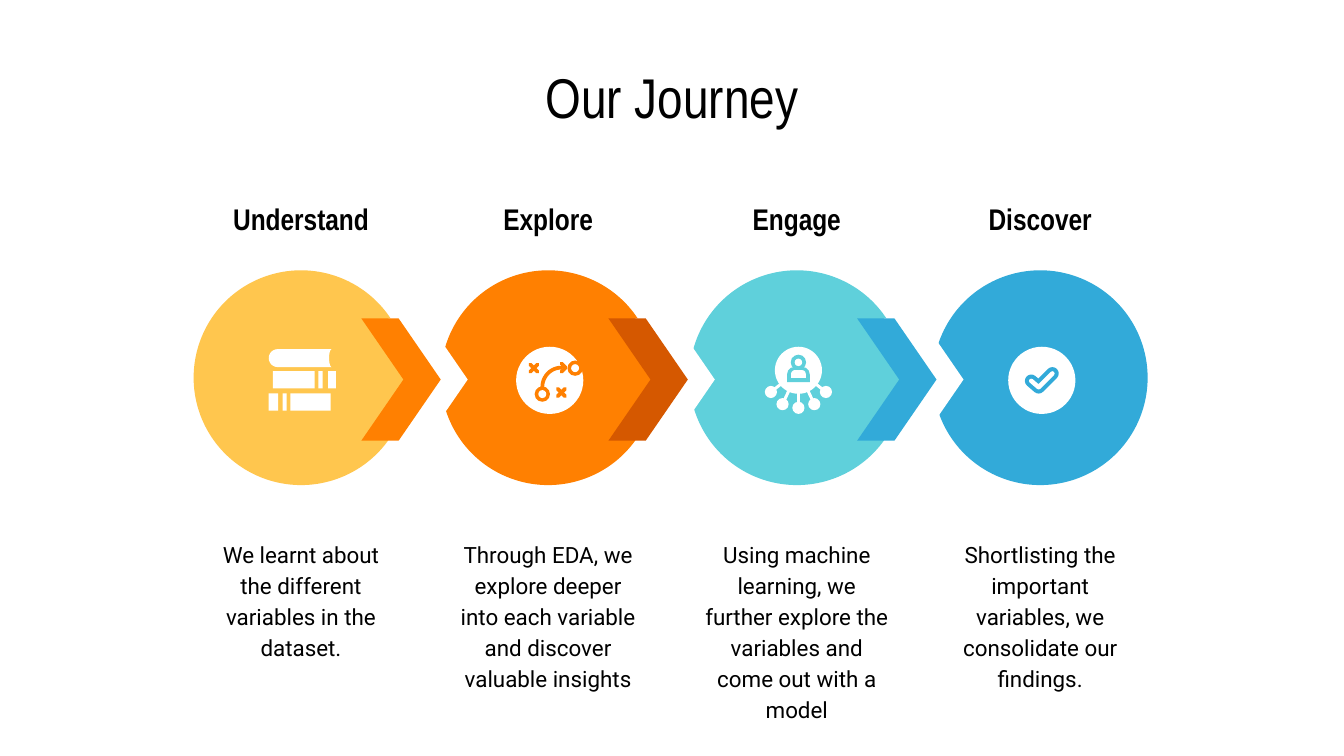
from dataclasses import dataclass
from math import cos, pi, sin
from typing import Callable

from lxml import etree
from pptx import Presentation
from pptx.dml.color import RGBColor
from pptx.enum.shapes import MSO_SHAPE
from pptx.enum.text import MSO_ANCHOR, PP_ALIGN
from pptx.oxml.ns import qn
from pptx.util import Cm, Pt

OVAL, RECTANGLE = MSO_SHAPE.OVAL, MSO_SHAPE.RECTANGLE
CHEVRON, ARCH = MSO_SHAPE.CHEVRON, MSO_SHAPE.ROUND_2_SAME_RECTANGLE
PILL = MSO_SHAPE.ROUNDED_RECTANGLE
CENTER = PP_ALIGN.CENTER
TOP, MIDDLE = MSO_ANCHOR.TOP, MSO_ANCHOR.MIDDLE

COLORS = {
    "yellow": "FFC64E",
    "orange": "FF8001",
    "rust": "D55800",
    "teal": "5FD0DB",
    "blue": "32AAD9",
    "white": "FFFFFF",
    "black": "000000",
}
HEADING_FONT, BODY_FONT = "Arial Narrow", "Roboto"
DISC_SIZE, DISC_TOP = 4.06, 5.11
ICON_SIZE, ICON_MIDDLE = 1.27, 7.19
CHEVRON_WIDTH, CHEVRON_HEIGHT, CHEVRON_TOP = 1.5, 2.31, 6.02
CHEVRON_OFFSET, GAP_OFFSET = 3.17, 3.68

Point = tuple[float, float]


@dataclass(frozen=True)
class Canvas:
    shapes: object
    x: float
    y: float
    color: str


@dataclass(frozen=True)
class Step:
    left: float
    color: str
    next_color: str | None
    heading: str
    body: str
    icon: Callable[[Canvas], None]


def rgb(name: str) -> RGBColor:
    return RGBColor.from_string(COLORS[name])


def add_text(shapes, text: str, left: float, top: float, width: float, height: float, *,
             size: float, font: str, bold: bool = False, anchor=MIDDLE,
             inset: float = 0.25, spacing: float = 1.0) -> None:
    box = shapes.add_textbox(Cm(left), Cm(top), Cm(width), Cm(height))
    frame = box.text_frame
    frame.word_wrap = True
    frame.vertical_anchor = anchor
    frame.margin_left = frame.margin_right = Cm(inset)
    frame.margin_top = frame.margin_bottom = Cm(inset)
    para = frame.paragraphs[0]
    para.alignment = CENTER
    para.line_spacing = spacing
    span = para.add_run()
    span.text = text
    span.font.name = font
    span.font.size = Pt(size)
    span.font.bold = bold
    span.font.color.rgb = rgb("black")


def paint(shape, color: str) -> None:
    shape.shadow.inherit = False
    shape.fill.solid()
    shape.fill.fore_color.rgb = rgb(color)
    shape.line.fill.background()


def add_filled(shapes, kind, left: float, top: float, width: float, height: float,
               color: str, adjust: float | None = None) -> None:
    shape = shapes.add_shape(kind, Cm(left), Cm(top), Cm(width), Cm(height))
    if adjust is not None:
        shape.adjustments[0] = adjust
    paint(shape, color)


def add_mark(canvas: Canvas, kind, x: float, y: float, width: float, height: float,
             color: str, adjust: float | None = None) -> None:
    add_filled(canvas.shapes, kind, canvas.x + x - width / 2, canvas.y + y - height / 2,
               width, height, color, adjust)


def add_outline(canvas: Canvas, points: list[Point], closed: bool):
    places = [(Cm(canvas.x + x), Cm(canvas.y + y)) for x, y in points]
    builder = canvas.shapes.build_freeform(*places[0])
    builder.add_line_segments(places[1:], close=closed)
    return builder.convert_to_shape()


def add_stroke(canvas: Canvas, points: list[Point], color: str, width: float) -> None:
    shape = add_outline(canvas, points, closed=False)
    shape.shadow.inherit = False
    shape.fill.background()
    shape.line.color.rgb = rgb(color)
    shape.line.width = Pt(width)
    line = shape._element.spPr.find(qn("a:ln"))
    line.set("cap", "rnd")
    etree.SubElement(line, qn("a:round"))


def arc(x: float, y: float, radius_x: float, radius_y: float,
        start: float, end: float) -> list[Point]:
    angles = [start + (end - start) * part / 12 for part in range(13)]
    return [(x + radius_x * cos(a), y + radius_y * sin(a)) for a in angles]


def draw_ring(canvas: Canvas, x: float, y: float, outer: float, inner: float) -> None:
    add_mark(canvas, OVAL, x, y, outer, outer, canvas.color)
    add_mark(canvas, OVAL, x, y, inner, inner, "white")


def draw_books(canvas: Canvas) -> None:
    spine = arc(-0.47, -0.42, 0.17, 0.17, pi / 2, 3 * pi / 2)
    pages = arc(0.55, -0.42, 0.05, 0.17, 3 * pi / 2, pi / 2)
    paint(add_outline(canvas, spine + pages, closed=True), "white")
    rows = {-0.01: [(-0.56, 0.79), (0.3, 0.08), (0.48, 0.15)],
            0.41: [(-0.64, 0.18), (-0.38, 0.08), (-0.23, 0.76)]}
    for y, parts in rows.items():
        for left, width in parts:
            add_mark(canvas, RECTANGLE, left + width / 2, y, width, 0.33, "white")


def draw_strategy(canvas: Canvas) -> None:
    add_mark(canvas, OVAL, 0, 0, ICON_SIZE, ICON_SIZE, "white")
    add_stroke(canvas, arc(0.22, 0.13, 0.36, 0.37, pi, 3 * pi / 2), canvas.color, 2)
    add_stroke(canvas, [(0.22, -0.32), (0.3, -0.24), (0.22, -0.16)], canvas.color, 2)
    draw_ring(canvas, -0.14, 0.26, 0.29, 0.15)
    draw_ring(canvas, 0.48, -0.23, 0.29, 0.15)
    for x, y in [(-0.3, -0.23), (0.22, 0.23)]:
        for slope in (-1, 1):
            ends = [(x + side * 0.07, y + side * slope * 0.07) for side in (-1, 1)]
            add_stroke(canvas, ends, canvas.color, 2)


def draw_network(canvas: Canvas) -> None:
    hub_y = -0.19
    for x, y in [(-0.52, 0.22), (-0.3, 0.45), (0, 0.52), (0.3, 0.45), (0.52, 0.22)]:
        add_stroke(canvas, [(0, hub_y), (x, y)], "white", 1.6)
        add_mark(canvas, OVAL, x, y, 0.23, 0.23, "white")
    add_mark(canvas, OVAL, 0, hub_y, 0.89, 0.89, "white")
    add_mark(canvas, ARCH, 0, -0.11, 0.43, 0.29, canvas.color, 0.5)
    add_mark(canvas, ARCH, 0, -0.12, 0.28, 0.15, "white", 0.5)
    draw_ring(canvas, 0, -0.34, 0.29, 0.14)


def draw_check(canvas: Canvas) -> None:
    add_mark(canvas, OVAL, 0, 0, ICON_SIZE, ICON_SIZE, "white")
    tick = [(-0.2, 0.01), (-0.06, 0.13), (0.2, -0.13)]
    add_stroke(canvas, tick, canvas.color, 6.8)
    add_stroke(canvas, tick, "white", 2.4)


def draw_step(shapes, step: Step) -> None:
    add_filled(shapes, PILL, step.left, DISC_TOP, DISC_SIZE, DISC_SIZE, step.color, 0.5)
    if step.next_color:
        for offset, color in [(GAP_OFFSET, "white"), (CHEVRON_OFFSET, step.next_color)]:
            add_filled(shapes, CHEVRON, step.left + offset, CHEVRON_TOP,
                       CHEVRON_WIDTH, CHEVRON_HEIGHT, color, 0.53)
    add_text(shapes, step.heading, step.left, 3.15, DISC_SIZE, 1.96,
             size=16, font=HEADING_FONT, bold=True, inset=0.64)
    add_text(shapes, step.body, step.left, 9.91, DISC_SIZE, 3.25,
             size=12, font=BODY_FONT, anchor=TOP, spacing=1.15)
    step.icon(Canvas(shapes, step.left + DISC_SIZE / 2 + 0.03, ICON_MIDDLE, step.color))


STEPS = [
    Step(3.66, "yellow", "orange", "Understand",
         "We learnt about the different variables in the dataset.", draw_books),
    Step(8.33, "orange", "rust", "Explore",
         "Through EDA, we explore deeper into each variable and discover valuable insights",
         draw_strategy),
    Step(13.03, "teal", "blue", "Engage",
         "Using machine learning, we further explore the variables and come out with a model",
         draw_network),
    Step(17.63, "blue", None, "Discover",
         "Shortlisting the important variables, we consolidate our findings.", draw_check),
]


def main() -> None:
    deck = Presentation()
    deck.slide_width, deck.slide_height = Cm(25.4), Cm(14.29)
    page = deck.slides.add_slide(deck.slide_layouts[6])
    add_text(page.shapes, "Our Journey", 1.27, 1.14, 22.86, 1.35,
             size=30, font=HEADING_FONT)
    for step in reversed(STEPS):
        draw_step(page.shapes, step)
    deck.save("out.pptx")


if __name__ == "__main__":
    main()
